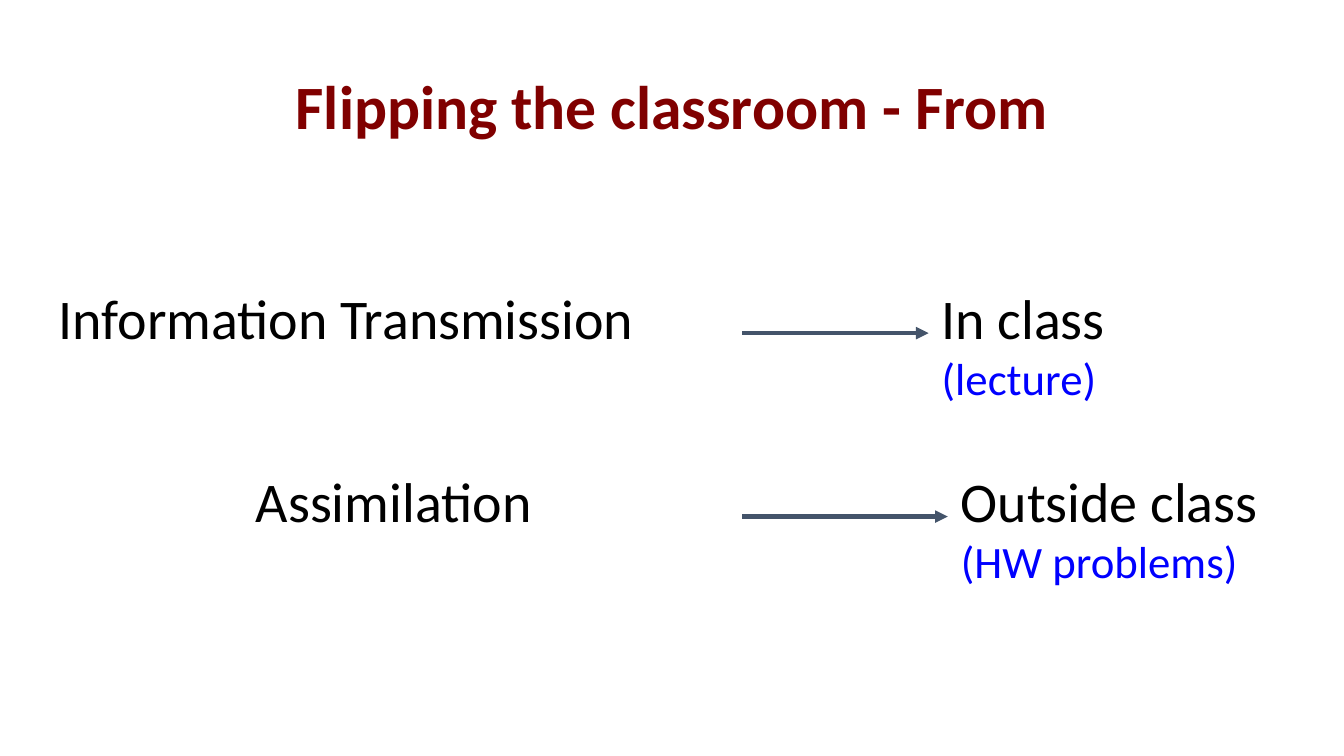
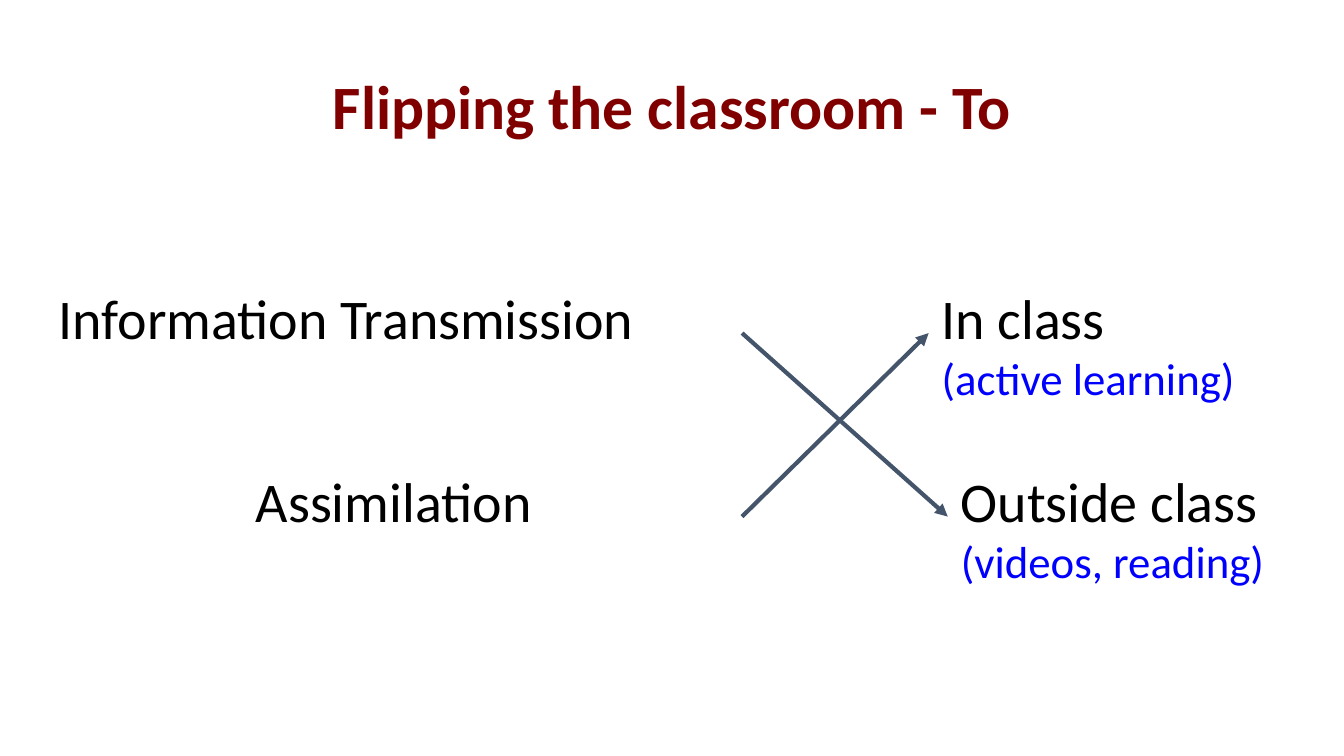
from dataclasses import dataclass

import pptx
import pptx.dml.color
import pptx.enum.shapes
import pptx.enum.text
import pptx.oxml.ns
import pptx.presentation
import pptx.shapes.autoshape
import pptx.slide
import pptx.text.text
import pptx.util
from lxml import etree

Inches = pptx.util.Inches
Pt = pptx.util.Pt
RGBColor = pptx.dml.color.RGBColor
Align = pptx.enum.text.PP_ALIGN
Anchor = pptx.enum.text.MSO_ANCHOR
qn = pptx.oxml.ns.qn


@dataclass(frozen=True)
class Theme:
    font: str = "Calibri"
    title_color: RGBColor = RGBColor(0x80, 0x00, 0x00)
    text_color: RGBColor = RGBColor(0x00, 0x00, 0x00)
    note_color: RGBColor = RGBColor(0x00, 0x00, 0xFF)
    arrow_color: RGBColor = RGBColor(0x44, 0x54, 0x6A)
    title_size: int = 44
    text_size: int = 40
    note_size: int = 32
    arrow_width: int = 3
    inset: float = 0.13


@dataclass(frozen=True)
class Label:
    text: str
    left: float
    top: float
    width: float
    align: Align = Align.LEFT


@dataclass(frozen=True)
class ClassroomSlide:
    title: str
    notes: tuple[str, str]  # one for each place
    targets: tuple[int, int]  # place that each activity leads to


THEME = Theme()
ROW_TOPS = (2.68, 4.5)
BOX_HEIGHT = 1.25

ACTIVITIES = (
    Label("Information Transmission", 0.45, ROW_TOPS[0], 6.91),
    Label("Assimilation", 0.45, ROW_TOPS[1], 6.91, Align.CENTER),
)
PLACES = (
    Label("In class", 9.21, ROW_TOPS[0], 3.46),
    Label("Outside class", 9.4, ROW_TOPS[1], 3.93),
)
SLIDES = (
    ClassroomSlide("Flipping the classroom - From", ("(lecture)", "(HW problems)"), (0, 1)),
    ClassroomSlide("Flipping the classroom - To", ("(active learning)", "(videos, reading)"), (1, 0)),
)


def format_frame(frame: pptx.text.text.TextFrame, anchor: Anchor) -> None:
    frame.word_wrap = True
    frame.auto_size = pptx.enum.text.MSO_AUTO_SIZE.NONE
    frame.vertical_anchor = anchor
    frame.margin_left = frame.margin_right = Inches(THEME.inset)
    frame.margin_top = frame.margin_bottom = Inches(THEME.inset)


def add_run(paragraph, text: str, size: int, color: RGBColor, bold: bool = False) -> None:
    run = paragraph.add_run()
    run.text = text
    run.font.name = THEME.font
    run.font.size = Pt(size)
    run.font.bold = bold
    run.font.color.rgb = color


def set_title(slide: pptx.slide.Slide, text: str) -> None:
    title = slide.shapes.title
    title.left, title.top = Inches(0.67), Inches(0.3)
    title.width, title.height = Inches(12), Inches(BOX_HEIGHT)
    format_frame(title.text_frame, Anchor.BOTTOM)
    paragraph = title.text_frame.paragraphs[0]
    paragraph.alignment = Align.CENTER
    paragraph.line_spacing = 0.9
    add_run(paragraph, text, THEME.title_size, THEME.title_color, bold=True)


def add_label(slide: pptx.slide.Slide, label: Label, note: str = "") -> pptx.shapes.autoshape.Shape:
    box = slide.shapes.add_textbox(
        Inches(label.left), Inches(label.top), Inches(label.width), Inches(BOX_HEIGHT)
    )
    format_frame(box.text_frame, Anchor.TOP)
    paragraph = box.text_frame.paragraphs[0]
    paragraph.alignment = label.align
    add_run(paragraph, label.text, THEME.text_size, THEME.text_color)
    if note:
        note_paragraph = box.text_frame.add_paragraph()
        note_paragraph.alignment = label.align
        add_run(note_paragraph, note, THEME.note_size, THEME.note_color)
    return box


def add_arrow(
    slide: pptx.slide.Slide,
    source: pptx.shapes.autoshape.Shape,
    target: pptx.shapes.autoshape.Shape,
) -> None:
    arrow = slide.shapes.add_connector(pptx.enum.shapes.MSO_CONNECTOR.STRAIGHT, 0, 0, 0, 0)
    arrow.begin_connect(source, 3)
    arrow.end_connect(target, 1)
    arrow.line.color.rgb = THEME.arrow_color
    arrow.line.width = Pt(THEME.arrow_width)
    # Arrowhead, and no shadow
    properties = arrow.element.find(qn("p:spPr"))
    etree.SubElement(properties.find(qn("a:ln")), qn("a:tailEnd"), type="triangle")
    etree.SubElement(properties, qn("a:effectLst"))


def build_slide(presentation: pptx.presentation.Presentation, content: ClassroomSlide) -> None:
    slide = presentation.slides.add_slide(presentation.slide_layouts.get_by_name("Title Only"))
    set_title(slide, content.title)

    # Activities on the left, places on the right
    activities = [add_label(slide, label) for label in ACTIVITIES]
    places = [add_label(slide, label, note) for label, note in zip(PLACES, content.notes)]

    # Where each activity happens
    for activity, target in zip(activities, content.targets):
        add_arrow(slide, activity, places[target])


def main() -> None:
    presentation = pptx.Presentation()
    presentation.slide_width = Inches(13.33)
    presentation.slide_height = Inches(7.5)
    for content in SLIDES:
        build_slide(presentation, content)
    presentation.save("out.pptx")


if __name__ == "__main__":
    main()
